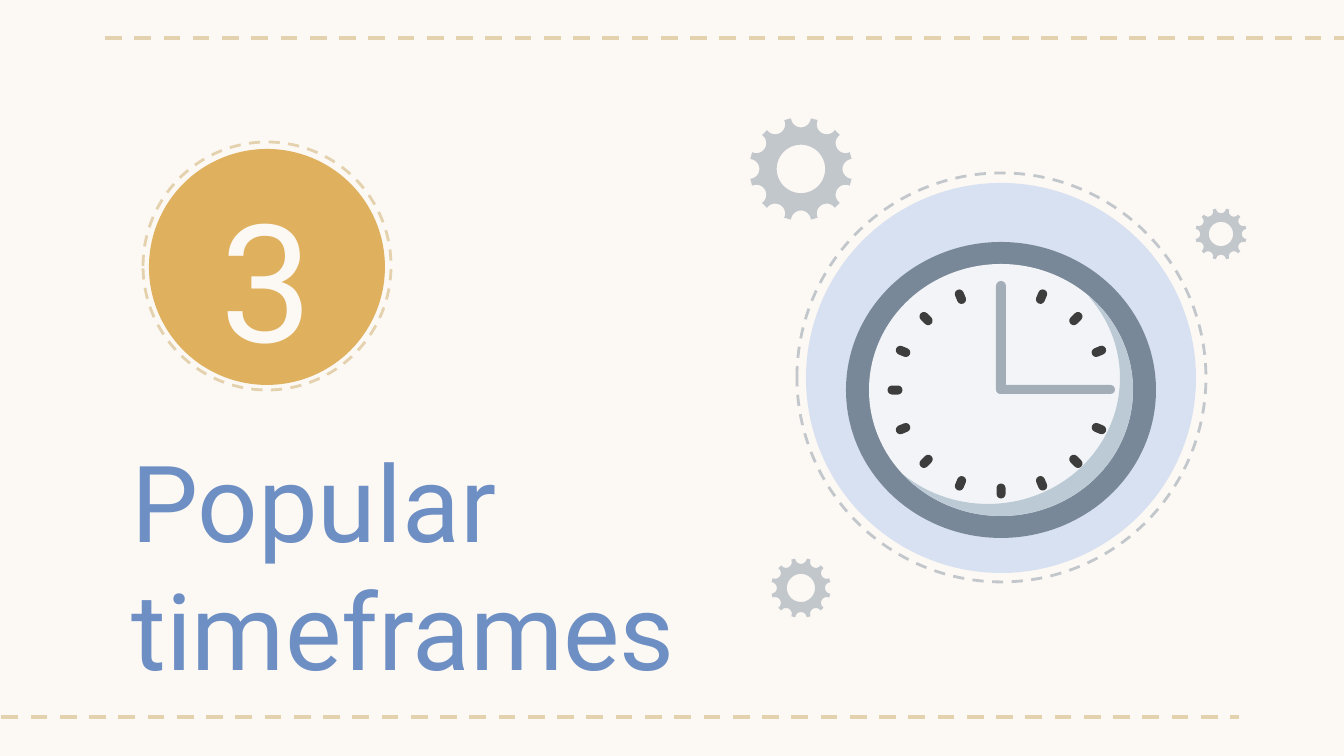
from dataclasses import dataclass
from math import cos, radians, sin

from lxml.etree import SubElement
from pptx import Presentation
from pptx.dml.color import RGBColor
from pptx.enum.dml import MSO_LINE
from pptx.enum.shapes import MSO_CONNECTOR, MSO_SHAPE
from pptx.enum.text import MSO_ANCHOR, PP_ALIGN
from pptx.oxml.ns import qn
from pptx.util import Inches, Pt

SCALE = 914400 / 134.4  # EMU per px
CREAM, SAND, GOLD, BLUE = "FCF8F4", "E4D1AD", "DFB05E", "6E8FC3"
GREY, PALE_BLUE, SLATE = "C2C7CC", "D8E1F1", "798898"
FACE, HAND, SHADE, TICK = "F2F4F7", "A3ADB8", "BCCAD6", "3D3D3D"


@dataclass
class Box:
    left: int
    top: int
    width: int
    height: int


@dataclass
class Oval:
    x: int
    y: int
    radius_x: int
    radius_y: int

    def box(self) -> Box:
        return Box(self.x - self.radius_x, self.y - self.radius_y,
                   2 * self.radius_x, 2 * self.radius_y)

    def arc(self, start: float, end: float, steps: int) -> list:
        angles = [radians(start + (end - start) * i / steps) for i in range(steps + 1)]
        return [(self.x + self.radius_x * cos(a), self.y + self.radius_y * sin(a))
                for a in angles]


@dataclass
class Gear:
    x: int
    y: int
    radius: int


@dataclass
class Label:
    text: str
    box: Box
    size: int
    color: str
    align: PP_ALIGN
    anchor: MSO_ANCHOR


def px(value: float) -> int:
    return round(value * SCALE)


def color(value: str) -> RGBColor:
    return RGBColor.from_string(value)


def paint(shape, fill: str) -> None:
    shape.shadow.inherit = False
    shape.fill.solid()
    shape.fill.fore_color.rgb = color(fill)
    shape.line.fill.background()


def dash(line, stroke: str, width: float) -> None:
    line.color.rgb = color(stroke)
    line.width = Pt(width)
    line.dash_style = MSO_LINE.DASH


def add_preset(slide, kind: MSO_SHAPE, box: Box, fill: str):
    shape = slide.shapes.add_shape(kind, px(box.left), px(box.top),
                                   px(box.width), px(box.height))
    paint(shape, fill)
    return shape


def add_ring(slide, box: Box, stroke: str) -> None:
    ring = add_preset(slide, MSO_SHAPE.OVAL, box, CREAM)
    ring.fill.background()
    dash(ring.line, stroke, 1.5)


def add_pill(slide, box: Box, fill: str, rotation: float = 0) -> None:
    pill = add_preset(slide, MSO_SHAPE.ROUNDED_RECTANGLE, box, fill)
    pill.adjustments[0] = 0.5
    pill.rotation = rotation


def add_outline(slide, contours: list, fill: str) -> None:
    scaled = [[(px(x), px(y)) for x, y in contour] for contour in contours]
    builder = slide.shapes.build_freeform(*scaled[0][0])
    for index, contour in enumerate(scaled):
        if index:
            builder.move_to(*contour[0])
        builder.add_line_segments(contour[1:], close=True)
    paint(builder.convert_to_shape(), fill)


def add_gear(slide, gear: Gear) -> None:
    # Twelve round notches are cut into the rim, 30 degrees apart
    rim = []
    for angle in range(0, 360, 30):
        distance = 1.03 * gear.radius
        notch = Oval(gear.x + distance * cos(radians(angle)),
                     gear.y + distance * sin(radians(angle)),
                     0.2 * gear.radius, 0.2 * gear.radius)
        rim += notch.arc(angle + 265, angle + 95, 12)
    hole = Oval(gear.x, gear.y, 0.485 * gear.radius, 0.485 * gear.radius)
    add_outline(slide, [rim, hole.arc(360, 0, 48)], GREY)


def add_dashed_line(slide, left: int, right: int, y: int) -> None:
    line = slide.shapes.add_connector(MSO_CONNECTOR.STRAIGHT,
                                      px(left), px(y), px(right), px(y))
    dash(line.line, SAND, 2.25)
    SubElement(line._element.spPr, qn("a:effectLst"))


def add_label(slide, label: Label) -> None:
    box = label.box
    frame = slide.shapes.add_textbox(px(box.left), px(box.top),
                                     px(box.width), px(box.height)).text_frame
    frame.word_wrap = True
    frame.vertical_anchor = label.anchor
    frame.margin_left = frame.margin_right = Inches(0.1)
    frame.margin_top = frame.margin_bottom = Inches(0.1)
    paragraph = frame.paragraphs[0]
    paragraph.alignment = label.align
    run = paragraph.add_run()
    run.text = label.text
    run.font.name = "Roboto"
    run.font.size = Pt(label.size)
    run.font.color.rgb = color(label.color)


def add_clock(slide) -> None:
    rim = Oval(1001, 390, 155, 148)
    face = Oval(1001, 390, 132, 126)
    light = Oval(988, 378, 132, 126)
    add_preset(slide, MSO_SHAPE.OVAL, rim.box(), SLATE)
    add_preset(slide, MSO_SHAPE.OVAL, face.box(), FACE)
    # Hands at three o'clock
    add_pill(slide, Box(996, 281, 10, 113), HAND)
    add_pill(slide, Box(996, 385, 119, 9), HAND)
    # Crescent shade between the face and its shifted twin
    add_outline(slide, [light.arc(-40, 131, 60) + face.arc(139, -48, 60)], SHADE)
    # Sixteen tick positions, leaving out those under the hands
    ticks = Oval(1001, 390, 106, 101).arc(0, 360, 16)
    for index, (x, y) in enumerate(ticks[:16]):
        if index not in (0, 12):
            add_pill(slide, Box(x - 7.5, y - 4.5, 15, 9), TICK, index * 22.5)


def main() -> None:
    presentation = Presentation()
    presentation.slide_width, presentation.slide_height = px(1344), px(756)
    slide = presentation.slides.add_slide(presentation.slide_layouts[6])
    slide.background.fill.solid()
    slide.background.fill.fore_color.rgb = color(CREAM)

    # Dashed borders
    add_dashed_line(slide, 105, 1372, 38)
    add_dashed_line(slide, -28, 1239, 717)

    # Number badge and clock backdrop
    add_ring(slide, Box(143, 142, 248, 248), SAND)
    add_preset(slide, MSO_SHAPE.OVAL, Box(149, 149, 236, 236), GOLD)
    add_ring(slide, Box(797, 173, 409, 409), GREY)
    add_preset(slide, MSO_SHAPE.OVAL, Box(806, 183, 390, 390), PALE_BLUE)

    # Title and number
    for label in (
        Label("Popular timeframes", Box(118, 423, 689, 123), 57, BLUE,
              PP_ALIGN.LEFT, MSO_ANCHOR.TOP),
        Label("3", Box(134, 156, 265, 242), 88, CREAM,
              PP_ALIGN.CENTER, MSO_ANCHOR.MIDDLE),
    ):
        add_label(slide, label)

    # Gears and clock
    for gear in (Gear(801, 169, 50), Gear(1221, 234, 25), Gear(801, 588, 29)):
        add_gear(slide, gear)
    add_clock(slide)

    presentation.save("out.pptx")


if __name__ == "__main__":
    main()
